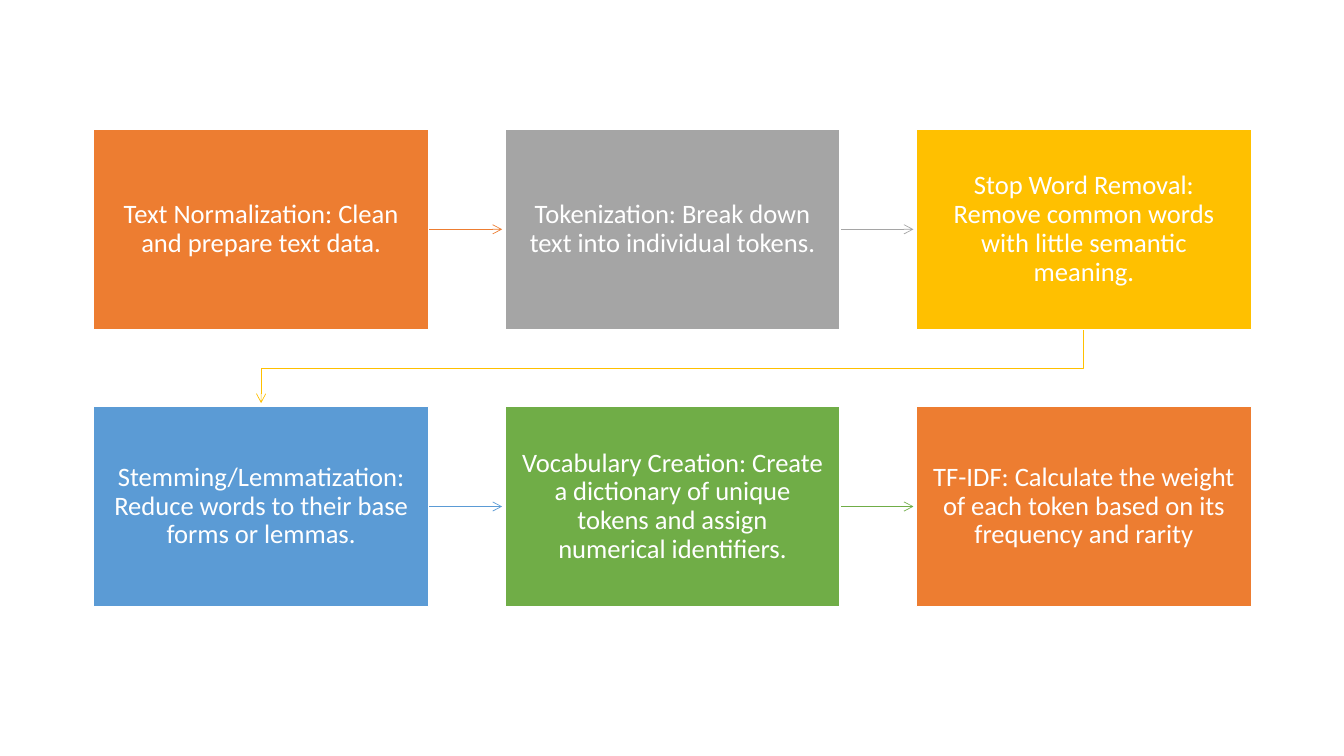
"""Build a slide showing the six steps of a text preprocessing pipeline."""
from lxml import etree
from pptx import Presentation
from pptx.dml.color import RGBColor
from pptx.enum.shapes import MSO_CONNECTOR, MSO_SHAPE
from pptx.enum.text import MSO_ANCHOR, PP_ALIGN
from pptx.oxml.ns import qn
from pptx.util import Inches, Pt

STRAIGHT = MSO_CONNECTOR.STRAIGHT
RECTANGLE = MSO_SHAPE.RECTANGLE
MIDDLE = MSO_ANCHOR.MIDDLE
CENTER = PP_ALIGN.CENTER

WHITE = RGBColor(0xFF, 0xFF, 0xFF)
ORANGE = RGBColor(0xED, 0x7D, 0x31)
GRAY = RGBColor(0xA5, 0xA5, 0xA5)
GOLD = RGBColor(0xFF, 0xC0, 0x00)
BLUE = RGBColor(0x5B, 0x9B, 0xD5)
GREEN = RGBColor(0x70, 0xAD, 0x47)

COLUMNS = 3
LEFT, TOP = 0.93, 1.28
BOX_W, BOX_H = 3.32, 1.99
PITCH_X, PITCH_Y = 4.08, 2.75
ARROW_LEN = 0.73
BEND = 0.38

STEPS = [
    ("Text Normalization: Clean and prepare text data.", ORANGE),
    ("Tokenization: Break down text into individual tokens.", GRAY),
    ("Stop Word Removal: Remove common words with little semantic meaning.", GOLD),
    ("Stemming/Lemmatization: Reduce words to their base forms or lemmas.", BLUE),
    ("Vocabulary Creation: Create a dictionary of unique tokens and assign "
     "numerical identifiers.", GREEN),
    ("TF-IDF: Calculate the weight of each token based on its frequency and rarity",
     ORANGE),
]


def set_text(sp, text, size=19, font="Calibri", color=WHITE, align=CENTER, spacing=0.9):
    """Write formatted text into a shape."""
    tf = sp.text_frame
    tf.word_wrap = True
    tf.vertical_anchor = MIDDLE
    tf.margin_left = tf.margin_right = Inches(0.16)
    tf.margin_top = tf.margin_bottom = Inches(0.17)
    p = tf.paragraphs[0]
    p.alignment = align
    p.line_spacing = spacing
    r = p.add_run()
    r.text = text
    r.font.size = Pt(size)
    r.font.name = font
    r.font.color.rgb = color


def add_step(s, x, y, text, color):
    """Add one filled step box with its text."""
    sp = s.shapes.add_shape(RECTANGLE, Inches(x), Inches(y), Inches(BOX_W), Inches(BOX_H))
    sp.shadow.inherit = False
    sp.fill.solid()
    sp.fill.fore_color.rgb = color
    sp.line.color.rgb = WHITE
    sp.line.width = Pt(1)
    set_text(sp, text)


def style_arrow(sp, color):
    """Give a line its colour, width and arrowhead, without a shadow."""
    sp.line.color.rgb = color
    sp.line.width = Pt(0.5)
    sp_pr = sp.element.spPr
    etree.SubElement(sp_pr.find(qn("a:ln")), qn("a:tailEnd"), type="arrow")
    if sp_pr.find(qn("a:effectLst")) is None:
        etree.SubElement(sp_pr, qn("a:effectLst"))


def add_arrow(s, x, y, color):
    """Add a horizontal arrow to the next box in the row."""
    sp = s.shapes.add_connector(
        STRAIGHT, Inches(x), Inches(y), Inches(x + ARROW_LEN), Inches(y))
    style_arrow(sp, color)


def add_return_arrow(s, x, y, color):
    """Add a bent arrow from the end of a row to the start of the next."""
    end_x = LEFT + BOX_W / 2
    bend_y = y + BEND
    points = [(x, bend_y), (end_x, bend_y), (end_x, y + ARROW_LEN)]
    builder = s.shapes.build_freeform(Inches(x), Inches(y))
    builder.add_line_segments([(Inches(px), Inches(py)) for px, py in points], close=False)
    sp = builder.convert_to_shape()
    sp.shadow.inherit = False
    sp.fill.background()
    style_arrow(sp, color)


def main():
    """Create the slide and save it."""
    prs = Presentation()
    prs.slide_width, prs.slide_height = Inches(13.33), Inches(7.5)
    s = prs.slides.add_slide(prs.slide_layouts[6])
    for i, (text, color) in enumerate(STEPS):
        row, col = divmod(i, COLUMNS)
        x, y = LEFT + col * PITCH_X, TOP + row * PITCH_Y
        if col < COLUMNS - 1:
            add_arrow(s, x + BOX_W, y + BOX_H / 2, color)
        elif i < len(STEPS) - 1:
            add_return_arrow(s, x + BOX_W / 2, y + BOX_H, color)
        add_step(s, x, y, text, color)
    prs.save("out.pptx")


if __name__ == "__main__":
    main()
